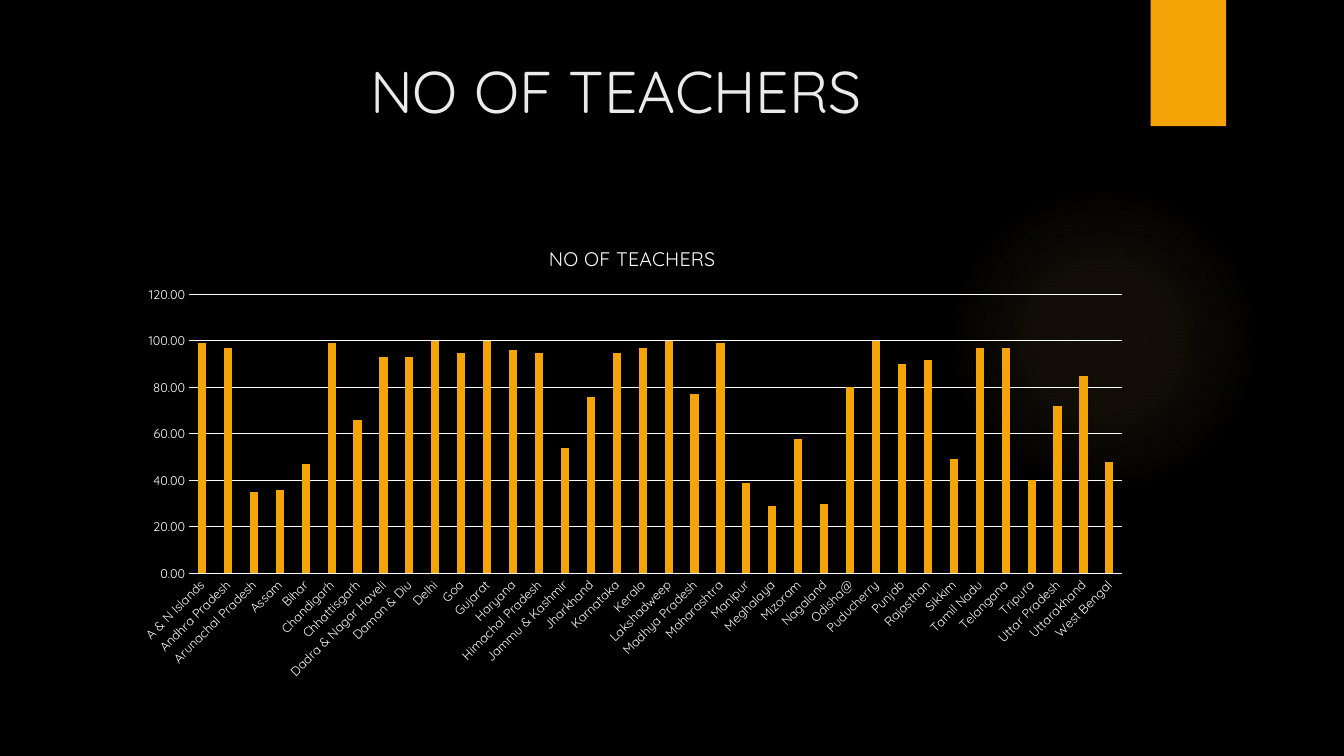
from dataclasses import dataclass

from lxml.etree import fromstring
from pptx import Presentation
from pptx.chart.data import CategoryChartData as Data
from pptx.dml.color import RGBColor as RGB
from pptx.enum.chart import XL_CHART_TYPE as Kind, XL_TICK_MARK as Tick
from pptx.enum.shapes import MSO_SHAPE as Form
from pptx.enum.text import MSO_ANCHOR as Anchor, PP_ALIGN as Align
from pptx.oxml.ns import qn
from pptx.util import Cm, Pt

DRAW = "http://schemas.openxmlformats.org/drawingml/2006/main"

RATES = {
    "A & N Islands": 99, "Andhra Pradesh": 97, "Arunachal Pradesh": 35,
    "Assam": 36, "Bihar": 47, "Chandigarh": 99, "Chhattisgarh": 66,
    "Dadra & Nagar Haveli": 93, "Daman & Diu": 93, "Delhi": 100, "Goa": 95,
    "Gujarat": 100, "Haryana": 96, "Himachal Pradesh": 95,
    "Jammu & Kashmir": 54, "Jharkhand": 76, "Karnataka": 95, "Kerala": 97,
    "Lakshadweep": 100, "Madhya Pradesh": 77, "Maharashtra": 99,
    "Manipur": 39, "Meghalaya": 29, "Mizoram": 58, "Nagaland": 30,
    "Odisha@": 80, "Puducherry": 100, "Punjab": 90, "Rajasthan": 92,
    "Sikkim": 49, "Tamil Nadu": 97, "Telangana": 97, "Tripura": 40,
    "Uttar Pradesh": 72, "Uttarakhand": 85, "West Bengal": 48,
}


@dataclass(frozen=True)
class Theme:
    face: str = "Quicksand"
    back: str = "000000"
    gold: str = "F5A408"
    glow: str = "FAC96A"
    head: str = "EBEBEB"
    ink: str = "FFFFFF"
    title: int = 42
    sub: int = 14
    base: int = 10
    label: int = 9


def put(item, **vals):
    for name, val in vals.items():
        setattr(item, name, val)


class Page:
    def __init__(self, deck, theme):
        self.theme = theme
        self.slide = deck.slides.add_slide(deck.slide_layouts[6])
        self.shapes = self.slide.shapes
        self.paint(self.slide.background.fill, theme.back)

    def paint(self, fill, tint):
        fill.solid()
        fill.fore_color.rgb = RGB.from_string(tint)

    def font(self, font, size, tint):
        put(font, name=self.theme.face, size=Pt(size), bold=False)
        font.color.rgb = RGB.from_string(tint)

    def rule(self, line):
        line.width = Pt(0.75)
        self.paint(line.fill, self.theme.ink)

    def block(self, form, box, tint):
        shape = self.shapes.add_shape(form, *map(Cm, box))
        shape.shadow.inherit = False
        self.paint(shape.fill, tint)
        shape.line.fill.background()
        return shape

    def glow(self, box, stops):
        """Draw a circle that fades outward; stops are (place, opacity) in percent."""
        tint = self.theme.glow
        shape = self.block(Form.OVAL, box, tint)
        marks = "".join(
            f'<a:gs pos="{at * 1000}"><a:srgbClr val="{tint}">'
            f'<a:alpha val="{see * 1000}"/></a:srgbClr></a:gs>'
            for at, see in stops)
        fade = fromstring(
            f'<a:gradFill xmlns:a="{DRAW}" rotWithShape="1"><a:gsLst>{marks}</a:gsLst>'
            '<a:path path="circle"><a:fillToRect l="50000" t="50000" r="50000" b="50000"/>'
            '</a:path></a:gradFill>')
        props = shape.element.spPr
        props.replace(props.find(qn("a:solidFill")), fade)

    def title(self, words, box, indent):
        frame = self.shapes.add_textbox(*map(Cm, box)).text_frame
        put(frame, word_wrap=True, vertical_anchor=Anchor.TOP)
        para = frame.paragraphs[0]
        para.alignment = Align.LEFT
        para._p.get_or_add_pPr().set("marL", str(Cm(indent)))
        run = para.add_run()
        run.text = words
        self.font(run.font, self.theme.title, self.theme.head)

    def axis(self, axis, **vals):
        put(axis, major_tick_mark=Tick.NONE, minor_tick_mark=Tick.NONE, **vals)
        self.font(axis.tick_labels.font, self.theme.label, self.theme.ink)

    def columns(self, words, rates, box):
        theme = self.theme
        data = Data(number_format="0.00")
        data.categories = list(rates)
        data.add_series("Series 1", list(rates.values()))
        chart = self.shapes.add_chart(
            Kind.COLUMN_CLUSTERED, *map(Cm, box), data).chart
        put(chart, has_legend=False, has_title=True)
        self.font(chart.font, theme.base, theme.ink)
        head = chart.chart_title.text_frame
        head.text = words
        self.font(head.paragraphs[0].runs[0].font, theme.sub, theme.ink)

        plot = chart.plots[0]
        put(plot, gap_width=219, overlap=-27, vary_by_categories=False)
        self.paint(plot.series[0].format.fill, theme.gold)

        states, scale = chart.category_axis, chart.value_axis
        self.axis(states, has_major_gridlines=False)
        self.rule(states.format.line)
        turn = states._element.find(qn("c:txPr")).find(qn("a:bodyPr"))
        turn.set("rot", str(-45 * 60000))
        self.axis(scale, has_major_gridlines=True, minimum_scale=0,
                  maximum_scale=120, major_unit=20)
        put(scale.tick_labels, number_format="0.00", number_format_is_linked=False)
        scale.format.line.fill.background()
        self.rule(scale.major_gridlines.format.line)


def main():
    deck = Presentation()
    put(deck, slide_width=Cm(33.87), slide_height=Cm(19.05))
    theme = Theme()
    page = Page(deck, theme)
    page.glow((23.9, 4.65, 7.82, 7.82), [(0, 7), (36, 6), (69, 0)])
    page.block(Form.RECTANGLE, (29, 0, 1.9, 3.18), theme.gold)
    page.title("NO OF TEACHERS", (1.8, 1.25, 26.14, 3.89), 7.28)
    page.columns("NO OF TEACHERS", RATES, (3.07, 5.69, 25.73, 11.66))
    deck.save("out.pptx")


if __name__ == "__main__":
    main()
